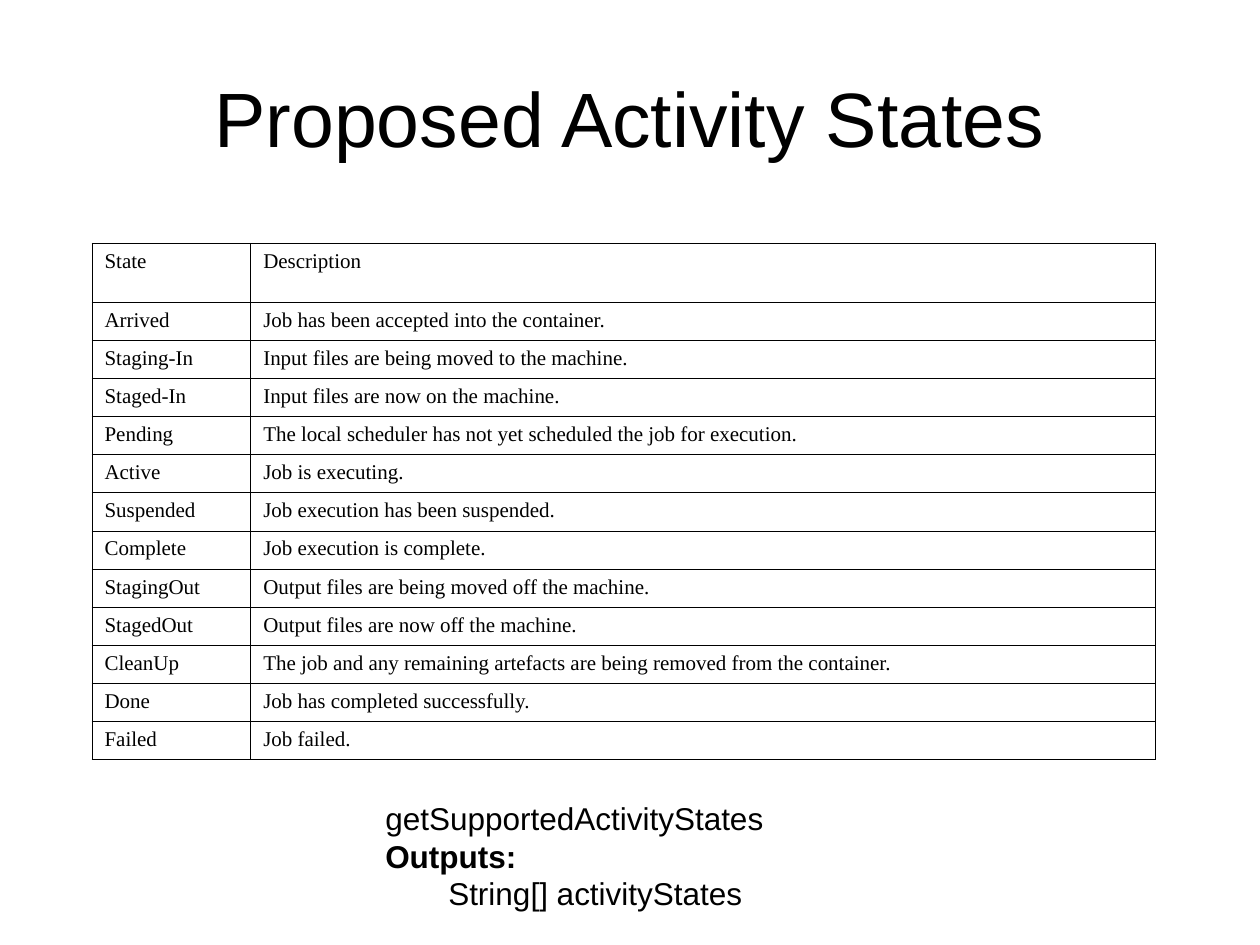
from lxml import etree
from pptx import Presentation
from pptx.dml.color import RGBColor
from pptx.enum.text import MSO_ANCHOR, MSO_AUTO_SIZE, PP_ALIGN
from pptx.oxml.ns import qn
from pptx.util import Inches, Pt

MIDDLE = MSO_ANCHOR.MIDDLE
CENTER = PP_ALIGN.CENTER
GROW = MSO_AUTO_SIZE.SHAPE_TO_FIT_TEXT
TITLE_ONLY = 5
COLORS = {"text": "000000", "border": "000000", "cell": "FFFFFF"}
BORDER_WIDTH = Pt(0.45)
STATE_WIDTH = 1.26
HEADER_HEIGHT = 0.47

STATES = [
    ("State", "Description"),
    ("Arrived", "Job has been accepted into the container."),
    ("Staging-In", "Input files are being moved to the machine."),
    ("Staged-In", "Input files are now on the machine."),
    ("Pending", "The local scheduler has not yet scheduled the job for execution."),
    ("Active", "Job is executing."),
    ("Suspended", "Job execution has been suspended."),
    ("Complete", "Job execution is complete."),
    ("StagingOut", "Output files are being moved off the machine."),
    ("StagedOut", "Output files are now off the machine."),
    ("CleanUp", "The job and any remaining artefacts are being removed from the container."),
    ("Done", "Job has completed successfully."),
    ("Failed", "Job failed."),
]


def format_text(frame, font_name, size):
    for para in frame.paragraphs:
        for span in para.runs:
            span.font.name = font_name
            span.font.size = Pt(size)
            span.font.bold = False
            span.font.color.rgb = RGBColor.from_string(COLORS["text"])


def add_borders(cell):
    properties = cell._tc.get_or_add_tcPr()
    for side in ("a:lnL", "a:lnR", "a:lnT", "a:lnB"):
        line = etree.SubElement(properties, qn(side), w=str(BORDER_WIDTH))
        fill = etree.SubElement(line, qn("a:solidFill"))
        etree.SubElement(fill, qn("a:srgbClr"), val=COLORS["border"])


def place_title(page, left, top, width, height):
    title = page.shapes.title
    title.left, title.top = Inches(left), Inches(top)
    title.width, title.height = Inches(width), Inches(height)
    frame = title.text_frame
    frame.text = "Proposed Activity States"
    frame.vertical_anchor = MIDDLE
    frame.paragraphs[0].alignment = CENTER
    format_text(frame, "Arial", 44)


def place_states(page, left, top, width, height):
    table = page.shapes.add_table(
        len(STATES), 2, Inches(left), Inches(top), Inches(width), Inches(height)
    ).table
    table.first_row = False
    table.horz_banding = False
    table.columns[0].width = Inches(STATE_WIDTH)
    table.columns[1].width = Inches(width - STATE_WIDTH)
    state_height = (height - HEADER_HEIGHT) / (len(STATES) - 1)
    for index, texts in enumerate(STATES):
        table.rows[index].height = Inches(state_height if index else HEADER_HEIGHT)
        for column, text in enumerate(texts):
            cell = table.cell(index, column)
            cell.text_frame.text = text
            format_text(cell.text_frame, "Times New Roman", 12)
            add_borders(cell)
            cell.fill.solid()
            cell.fill.fore_color.rgb = RGBColor.from_string(COLORS["cell"])


def place_operation(page, left, top, width, height):
    box = page.shapes.add_textbox(
        Inches(left), Inches(top), Inches(width), Inches(height)
    )
    frame = box.text_frame
    frame.word_wrap = False
    frame.auto_size = GROW
    frame.text = "getSupportedActivityStates\nOutputs:\n\tString[] activityStates"
    format_text(frame, "Arial", 18)
    frame.paragraphs[1].runs[0].font.bold = True


def main():
    deck = Presentation()
    deck.slide_width, deck.slide_height = Inches(10), Inches(7.5)
    page = deck.slides.add_slide(deck.slide_layouts[TITLE_ONLY])
    place_title(page, 0.5, 0.3, 9, 1.25)
    place_states(page, 0.73, 1.93, 8.44, 4.1)
    place_operation(page, 2.96, 6.29, 3.53, 1)
    deck.save("out.pptx")


if __name__ == "__main__":
    main()
